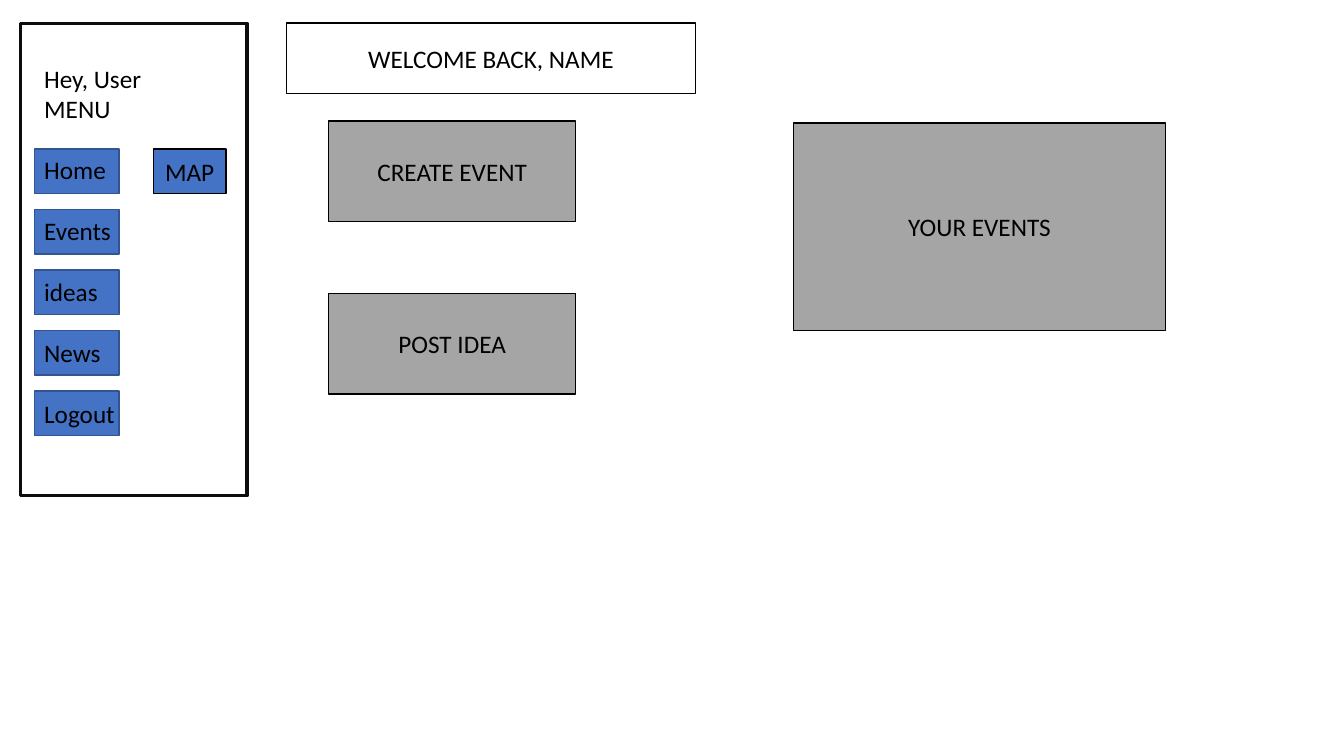
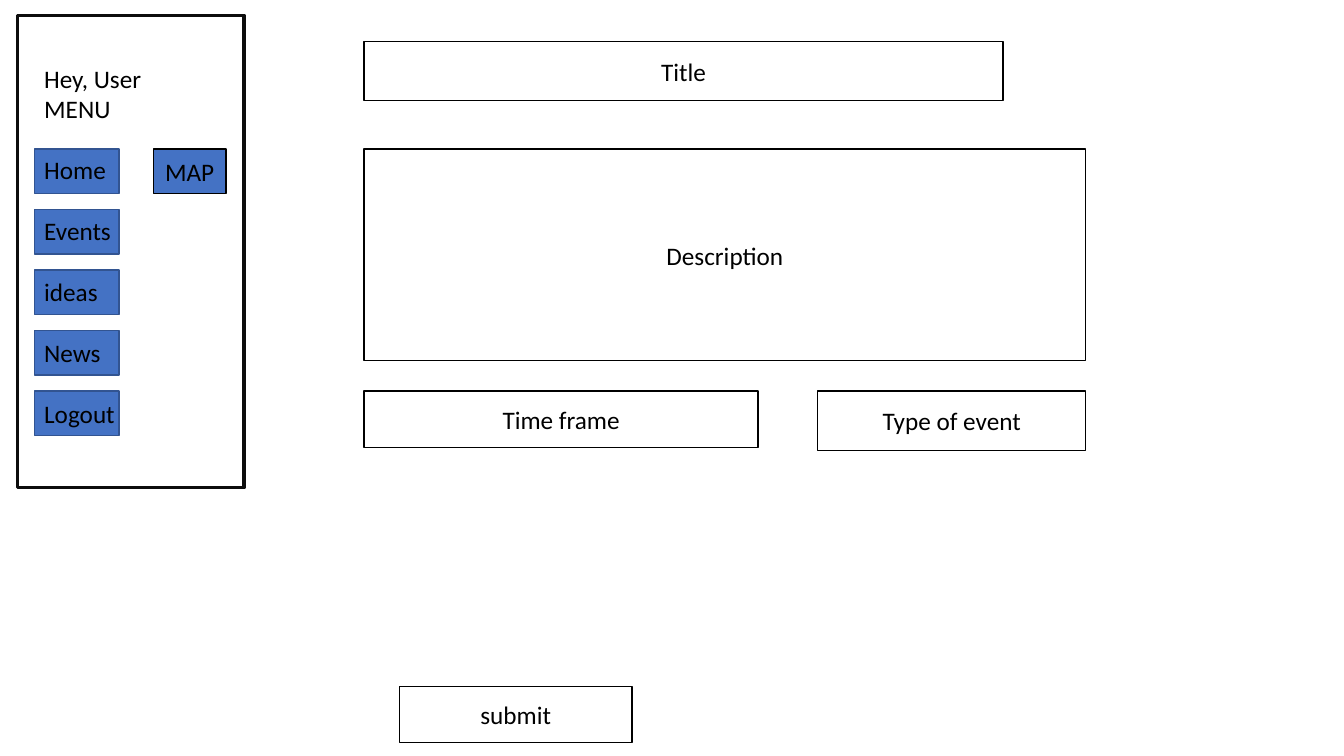
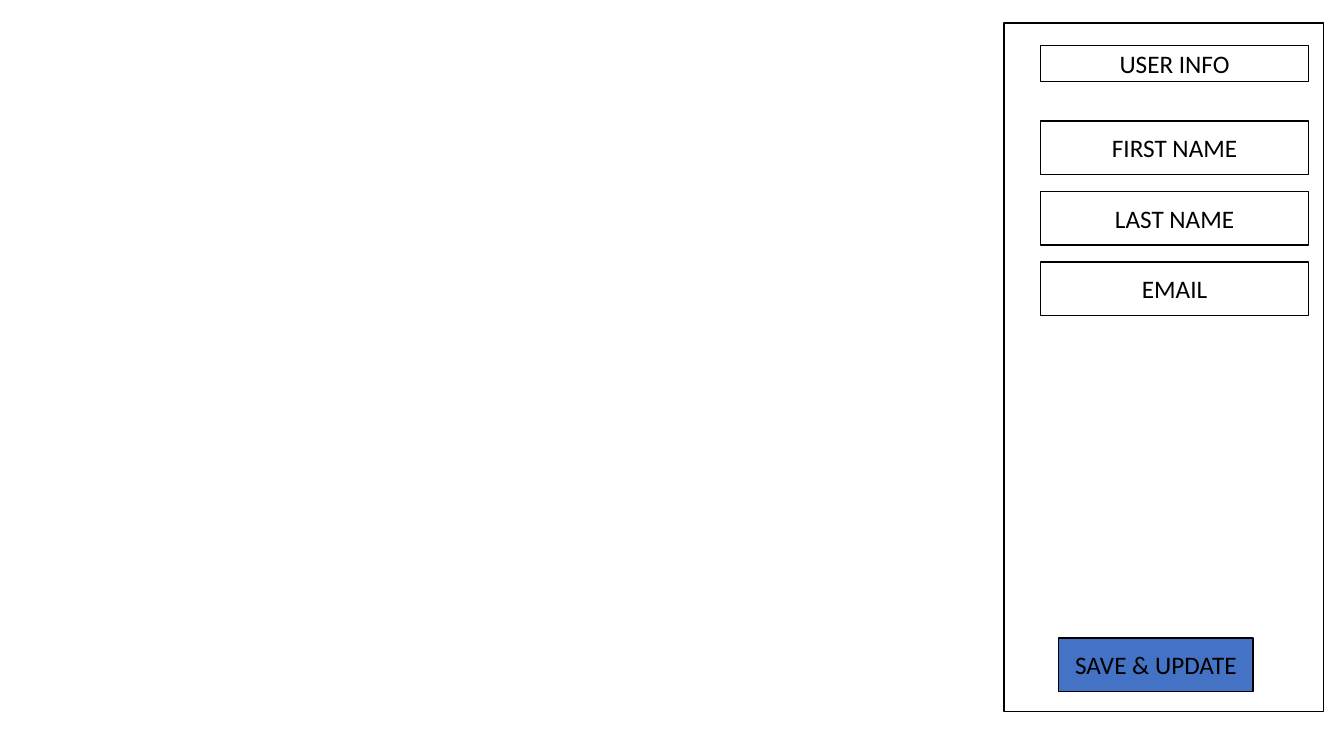
from pptx import Presentation
from pptx.dml.color import RGBColor
from pptx.enum.shapes import MSO_SHAPE
from pptx.enum.text import MSO_ANCHOR, PP_ALIGN
from pptx.util import Inches, Pt

# Shared style
FONT, TEXT_SIZE = "Calibri", 18
BLACK, WHITE, GREY, BLUE = "000000", "FFFFFF", "A5A5A5", "4472C4"
MENU_EDGE, BUTTON_EDGE = "0D0D0D", "325491"

# Menu content
GREETING = ["Hey, User", "MENU"]
MENU_ITEMS = ["Home", "Events", "ideas", "News", "Logout"]
MENU_SIZE = (2.25, 4.69)
BUTTON_LEFT, BUTTON_TOP, BUTTON_PITCH = 0.34, 1.48, 0.6
BUTTON_SIZE = (0.84, 0.44)

# Screen content: text, (left, top, width, height), fill
HOME_BOXES = [
    ("WELCOME BACK, NAME", (2.84, 0.23, 4.06, 0.7), WHITE),
    ("CREATE EVENT", (3.26, 1.2, 2.45, 1), GREY),
    ("YOUR EVENTS", (7.87, 1.22, 3.69, 2.06), GREY),
    ("POST IDEA", (3.26, 2.91, 2.45, 1), GREY),
]
EVENT_FORM = [
    ("Title", (3.61, 0.41, 6.34, 0.59), WHITE),
    ("Description", (3.61, 1.48, 7.16, 2.1), WHITE),
    ("Time frame", (3.61, 3.88, 3.91, 0.56), WHITE),
    ("submit", (3.96, 6.81, 2.31, 0.56), WHITE),
    ("Type of event", (8.11, 3.88, 2.66, 0.59), WHITE),
]
PROFILE_PANEL = (9.96, 0.23, 3.17, 6.83)
PROFILE_FIELDS = ["FIRST NAME", "LAST NAME", "EMAIL"]
FIELD_LEFT, FIELD_TOP, FIELD_PITCH = 10.32, 1.2, 0.7
FIELD_SIZE = (2.66, 0.53)
PROFILE_BOXES = [
    ("USER INFO", (FIELD_LEFT, 0.45, 2.66, 0.36), WHITE),
    *((field, (FIELD_LEFT, FIELD_TOP + row * FIELD_PITCH, *FIELD_SIZE), WHITE)
      for row, field in enumerate(PROFILE_FIELDS)),
    ("SAVE & UPDATE", (10.5, 6.33, 1.93, 0.53), BLUE),
]


def color(code):
    return RGBColor.from_string(code)


def write(paragraph, text, align=PP_ALIGN.LEFT, before=0):
    paragraph.alignment = align
    paragraph.space_before = Pt(before)
    run = paragraph.add_run()
    run.text = text
    run.font.name = FONT
    run.font.size = Pt(TEXT_SIZE)
    run.font.color.rgb = color(BLACK)


def add_box(slide, text, area, fill=WHITE, edge=BLACK, weight=1):
    box = slide.shapes.add_shape(MSO_SHAPE.RECTANGLE, *map(Inches, area))
    box.shadow.inherit = False
    box.fill.solid()
    box.fill.fore_color.rgb = color(fill)
    box.line.color.rgb = color(edge)
    box.line.width = Pt(weight)
    if text:
        box.text_frame.word_wrap = True
        box.text_frame.vertical_anchor = MSO_ANCHOR.MIDDLE
        write(box.text_frame.paragraphs[0], text, align=PP_ALIGN.CENTER)


def add_menu(slide, left, top):
    add_box(slide, "", (left, top, *MENU_SIZE), edge=MENU_EDGE, weight=2.25)
    for row in range(len(MENU_ITEMS)):
        button_top = BUTTON_TOP + row * BUTTON_PITCH
        add_box(slide, "", (BUTTON_LEFT, button_top, *BUTTON_SIZE),
                fill=BLUE, edge=BUTTON_EDGE)

    # Greeting and labels, each label one line below the text above it
    labels = slide.shapes.add_textbox(
        *map(Inches, (BUTTON_LEFT, 0.58, 1.6, 3.74))).text_frame
    labels.word_wrap = True
    for index, text in enumerate(GREETING + MENU_ITEMS):
        paragraph = labels.add_paragraph() if index else labels.paragraphs[0]
        write(paragraph, text, before=22 if text in MENU_ITEMS else 0)

    add_box(slide, "MAP", (1.52, BUTTON_TOP, 0.72, 0.44), fill=BLUE)


def add_screen(boxes, menu_at=None, panel=None):
    slide = deck.slides.add_slide(deck.slide_layouts[6])
    if menu_at:
        add_menu(slide, *menu_at)
    if panel:
        add_box(slide, "", panel)
    for text, area, fill in boxes:
        add_box(slide, text, area, fill=fill)


# Build the three screens
deck = Presentation()
deck.slide_width, deck.slide_height = Inches(13.33), Inches(7.5)
add_screen(HOME_BOXES, menu_at=(0.2, 0.23))
add_screen(EVENT_FORM, menu_at=(0.17, 0.15))
add_screen(PROFILE_BOXES, panel=PROFILE_PANEL)
deck.save("out.pptx")
